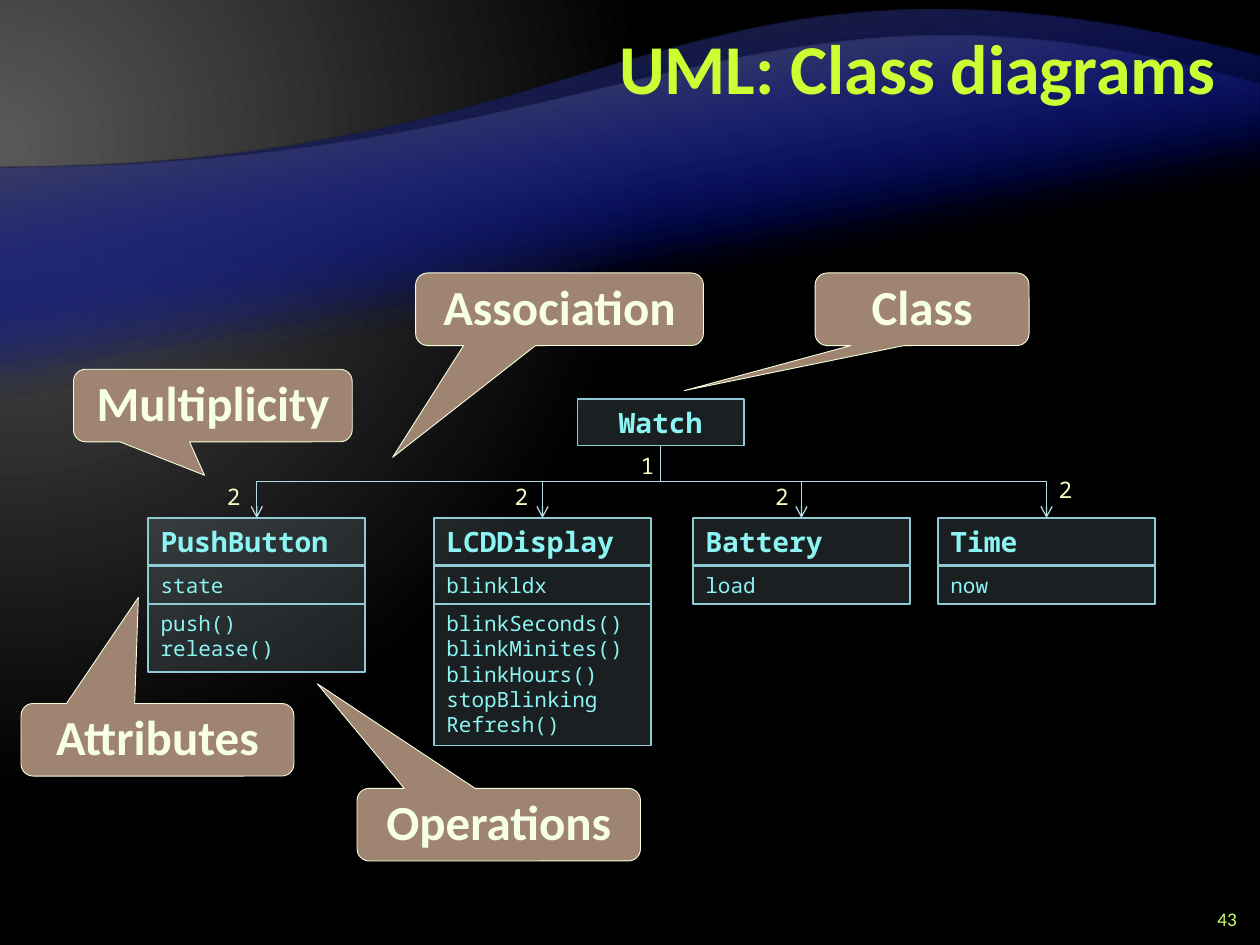
"""Builds a slide that explains the parts of a UML class diagram."""
import pptx
import pptx.dml.color
import pptx.enum.shapes
import pptx.enum.text
import pptx.oxml
import pptx.oxml.ns
import pptx.util

Pt = pptx.util.Pt
qn = pptx.oxml.ns.qn
Kind = pptx.enum.shapes.MSO_SHAPE
Link = pptx.enum.shapes.MSO_CONNECTOR
Side = pptx.enum.text.PP_ALIGN
Anchor = pptx.enum.text.MSO_ANCHOR
NS = pptx.oxml.ns.nsdecls("a")
HUES = {
    "title": "CCFF33", "number": "CCFF66", "label": "EBFFC2",
    "box": "B5DBE5", "edge": "90CAD7", "code": "8CF4F2",
    "note": "9F8471", "rim": "F5FFE0", "bright": "F7FFE7",
    "wave": "000D9E", "dark": "262626", "grey": "595959", "black": "000000",
}
SANS, MONO = "Calibri", "Noto Sans Mono"


def rgb(name):
    return pptx.dml.color.RGBColor.from_string(HUES[name])


def fade(node, part):
    node.append(pptx.oxml.parse_xml(f'<a:alpha {NS} val="{part * 1000}"/>'))


class Deck:
    def __init__(self):
        self.show = pptx.Presentation()
        self.show.slide_width, self.show.slide_height = Pt(720), Pt(540)
        self.slide = self.show.slides.add_slide(self.show.slide_layouts[5])
        self.shapes = self.slide.shapes

    def blend(self, fill, stops):
        fill.gradient()
        for stop, (place, hue) in zip(fill.gradient_stops, stops):
            stop.position = place
            stop.color.rgb = rgb(hue)

    def ground(self):
        self.blend(self.slide.background.fill, [(0, "grey"), (0.83, "black")])
        line = self.slide.element.find(".//" + qn("a:lin"))
        line.getparent().replace(line, pptx.oxml.parse_xml(
            f'<a:path {NS} path="circle"><a:fillToRect l="20000" t="30000" '
            'r="135000" b="100000"/></a:path>'))

    def wave(self, top, base, bend, hue):
        left = 96
        pen = self.shapes.build_freeform(Pt(720), Pt(base))
        pen.add_line_segments([(0, Pt(base)), (0, Pt(left)), (Pt(720), Pt(top))])
        shape = pen.convert_to_shape()
        shape.shadow.inherit = False
        shape.line.fill.background()
        self.blend(shape.fill, [(0.65, "wave"), (1, hue)])
        shape.fill.gradient_angle = 100
        fade(shape.element.find(".//" + qn("a:srgbClr")), 0)
        last = shape.element.findall(".//" + qn("a:lnTo"))[2]
        spots = [(360, left), bend, (720, top)]
        points = "".join(f'<a:pt x="{Pt(x)}" y="{Pt(y - top)}"/>' for x, y in spots)
        last.getparent().replace(last, pptx.oxml.parse_xml(
            f"<a:cubicBezTo {NS}>{points}</a:cubicBezTo>"))

    def style(self, shape, text, size, hue, face=SANS, bold=False,
              side=Side.LEFT, space=None, anchor=Anchor.TOP):
        frame = shape.text_frame
        frame.text = text
        frame.word_wrap = True
        frame.vertical_anchor = anchor
        for para in frame.paragraphs:
            para.alignment = side
            if space:
                para.line_spacing = Pt(space)
            for run in para.runs:
                run.font.name, run.font.size = face, Pt(size)
                run.font.bold = bold
                run.font.color.rgb = rgb(hue)

    def title(self, text):
        head = self.shapes.title
        head.element.getparent().append(head.element)
        head.left, head.top, head.width, head.height = map(Pt, (144, 6, 558, 72))
        self.style(head, text, 40, "title", bold=True, side=Side.RIGHT,
                   space=40, anchor=Anchor.MIDDLE)

    def number(self, text):
        box = self.shapes.add_textbox(Pt(678), Pt(516), Pt(36), Pt(18))
        self.style(box, text, 11, "number", side=Side.RIGHT, anchor=Anchor.MIDDLE)

    def label(self, text, x, y):
        box = self.shapes.add_textbox(Pt(x), Pt(y), Pt(7.5), Pt(16))
        self.style(box, text, 13, "label", MONO)
        frame = box.text_frame
        frame.word_wrap = False
        frame.margin_left = frame.margin_right = 0
        frame.margin_top = frame.margin_bottom = 0

    def shape(self, kind, place, fill, edge, width):
        shape = self.shapes.add_shape(kind, *map(Pt, place))
        shape.shadow.inherit = False
        shape.fill.solid()
        shape.fill.fore_color.rgb = rgb(fill)
        shape.line.color.rgb = rgb(edge)
        shape.line.width = Pt(width)
        return shape

    def cell(self, text, x, y, wide, high, head=False, side=Side.LEFT):
        box = self.shape(Kind.RECTANGLE, (x, y, wide, high), "box", "edge", 1)
        fade(box.element.find(".//" + qn("a:srgbClr")), 15)
        self.style(box, text, 16 if head else 12, "code", MONO, head, side)

    def table(self, x, wide, name, field, acts, high):
        self.cell(name, x, 296, wide, 27, True)
        self.cell(field, x, 323.5, wide, 21.8)
        if acts:
            self.cell(acts, x, 345.5, wide, high)

    def note(self, text, x, y, wide, tip):
        box = self.shape(Kind.ROUNDED_RECTANGULAR_CALLOUT, (x, y, wide, 41.5),
                         "note", "rim", 0.5)
        box.adjustments[0], box.adjustments[1] = tip
        box.adjustments[2] = 0.167
        self.style(box, text, 28, "bright", bold=True, side=Side.CENTER, space=30)

    def arrow(self, start, end):
        (x, y), (to, low) = start, end
        wide, high = low - y, abs(to - x)
        left, top = (x + to - wide) / 2, (y + low - high) / 2
        ends = (left, left + wide) if to < x else (left + wide, left)
        link = self.shapes.add_connector(
            Link.ELBOW, Pt(ends[0]), Pt(top), Pt(ends[1]), Pt(top + high))
        props = link.element.spPr
        props.find(qn("a:xfrm")).set("rot", "5400000" if to < x else "16200000")
        link.line.color.rgb = rgb("box")
        link.line.width = Pt(0.75)
        props.find(qn("a:ln")).append(
            pptx.oxml.parse_xml(f'<a:tailEnd {NS} type="arrow"/>'))
        props.append(pptx.oxml.parse_xml(f"<a:effectLst {NS}/>"))


def main():
    deck = Deck()
    deck.ground()
    for _ in range(2):
        deck.wave(32.4, 470, (384.5, -54), "dark")
        deck.wave(48.2, 401, (430.5, -35.3), "grey")
    deck.title("UML: Class diagrams")
    deck.number("43")

    wide = 124
    deck.cell("Watch", 330, 228, 95, 26.6, True, Side.CENTER)
    acts = "blinkSeconds()\nblinkMinites()\nblinkHours()\nstopBlinking\nRefresh()"
    tables = [
        (84.7, "PushButton", "state", "push()\vrelease()", 38.7, (-17, 276)),
        (248, "LCDDisplay", "blinkldx", acts, 80.5, (-16, 276)),
        (396, "Battery", "load", "", 0, (-15, 276)),
        (536, "Time", "now", "", 0, (7, 272)),
    ]
    for x, name, field, text, high, (shift, y) in tables:
        mid = x + wide / 2
        deck.table(x, wide, name, field, text, high)
        deck.arrow((377.5, 254.6), (mid, 296))
        deck.label("2", mid + shift, y)
    deck.label("1", 366, 258)

    notes = [
        ("Class", 465.8, 156, 122.3, (-1.11, 1.12)),
        ("Association", 237.5, 156, 164.5, (-0.58, 2.04)),
        ("Multiplicity", 42, 211, 159.3, (-0.03, 0.96)),
        ("Attributes", 12, 402, 156, (-0.07, -1.96)),
        ("Operations", 204, 450.5, 162, (-0.64, -1.94)),
    ]
    for note in notes:
        deck.note(*note)
    deck.show.save("out.pptx")


if __name__ == "__main__":
    main()
